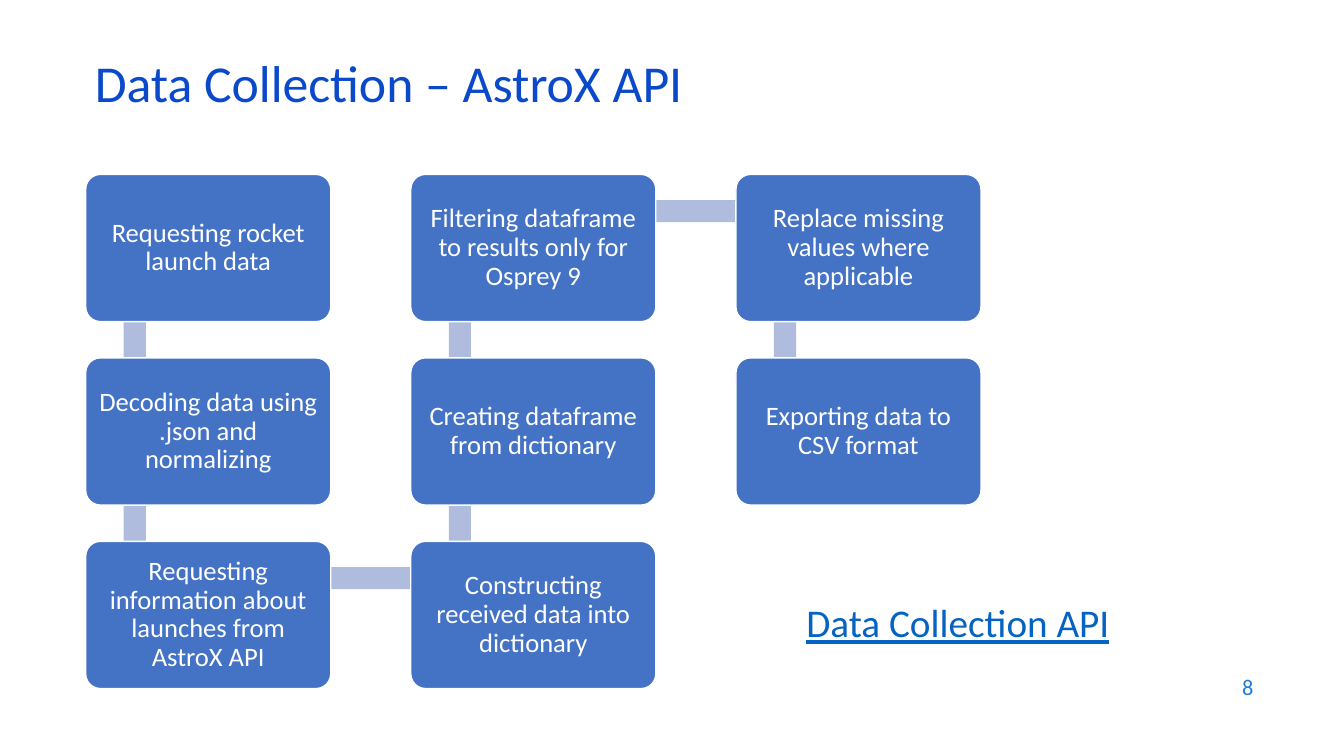
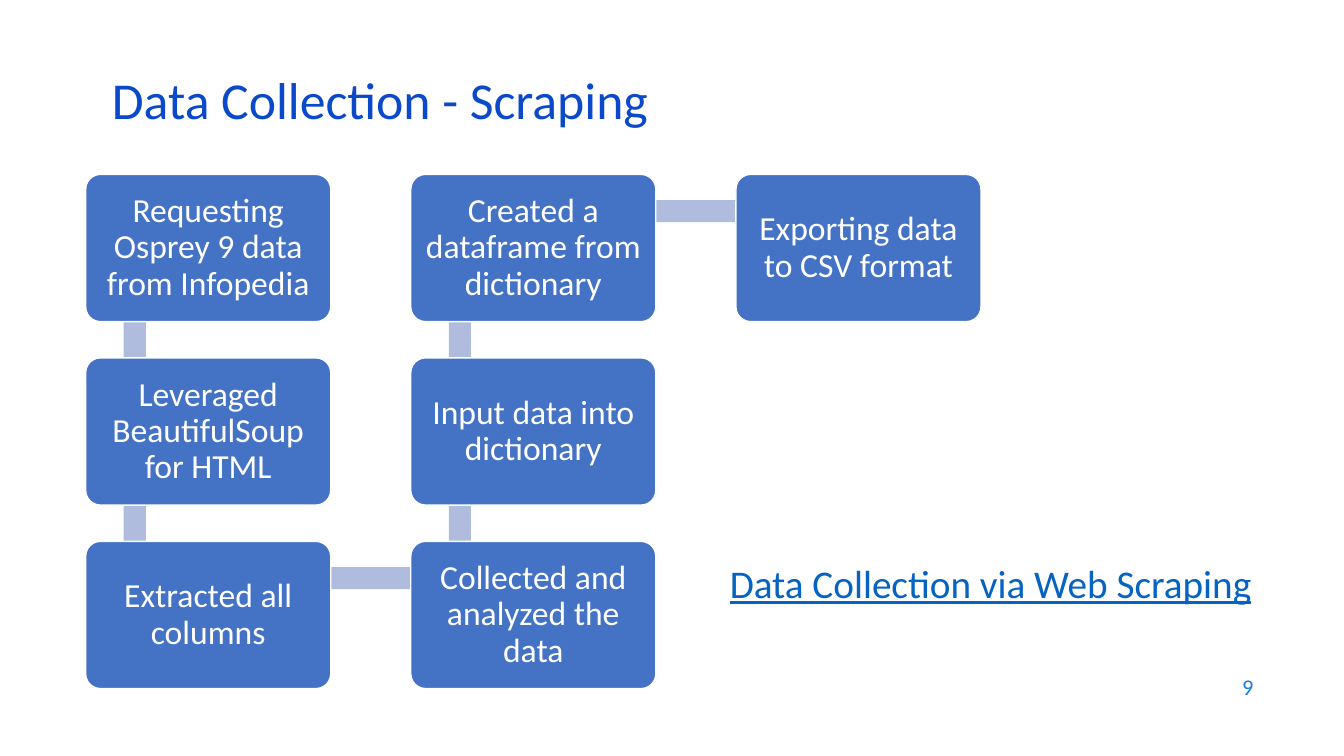
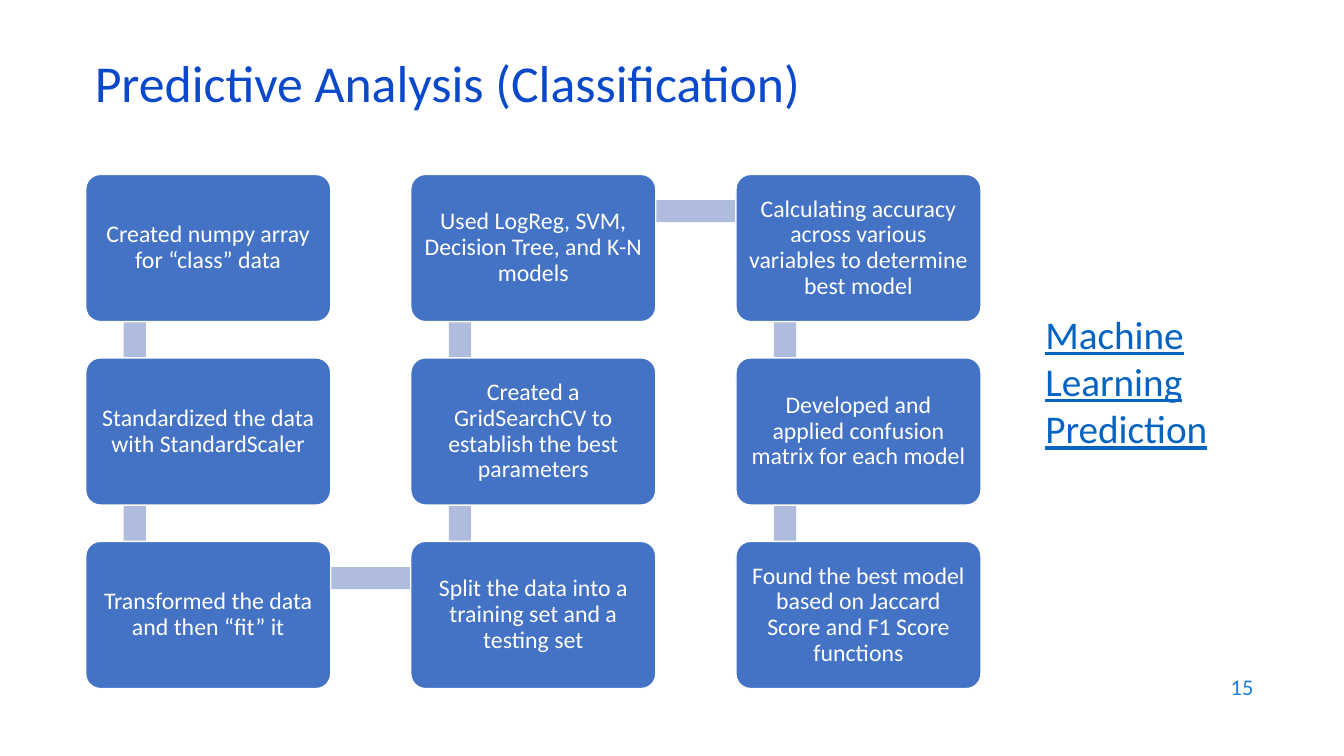
from itertools import pairwise

from pptx import Presentation
from pptx.dml.color import RGBColor
from pptx.enum.shapes import MSO_SHAPE
from pptx.enum.text import MSO_ANCHOR, MSO_AUTO_SIZE, PP_ALIGN
from pptx.util import Inches, Pt

LEFT, CENTER, RIGHT = PP_ALIGN.LEFT, PP_ALIGN.CENTER, PP_ALIGN.RIGHT
TOP, MIDDLE = MSO_ANCHOR.TOP, MSO_ANCHOR.MIDDLE
RECT, ROUNDED = MSO_SHAPE.RECTANGLE, MSO_SHAPE.ROUNDED_RECTANGLE
NO_AUTOFIT = MSO_AUTO_SIZE.NONE

FONT = "Calibri"
TITLE, NUMBER, LINK = "0B49CB", "1C7DDB", "0563C1"
BOX, BAR, WHITE = "4472C4", "B0BCDE", "FFFFFF"
TITLE_ONLY = 5

# Step grid, in percent of the slide's width (x) and height (y)
ROWS = 3
GRID_X, GRID_Y = 6.38, 23.07
PITCH_X, PITCH_Y = 24.19, 24.27
BOX_W, BOX_H = 18.23, 19.47
BAR_W, BAR_H = 1.65, 2.93


def rgb(color):
    return RGBColor.from_string(color)


def write(shape, text, size, color, align=LEFT, anchor=MIDDLE, spacing=1.0,
          underline=None, inset=None):
    tf = shape.text_frame
    tf.word_wrap = True
    tf.auto_size = NO_AUTOFIT
    tf.vertical_anchor = anchor
    if inset is not None:
        tf.margin_left = tf.margin_right = inset
        tf.margin_top = tf.margin_bottom = inset
    p = tf.paragraphs[0]
    p.alignment = align
    p.line_spacing = spacing
    r = p.add_run()
    r.text = text
    r.font.name = FONT
    r.font.size = Pt(size)
    r.font.color.rgb = rgb(color)
    r.font.underline = underline


def step_corner(index):
    """Top left of a step; the steps run down one column and up the next."""
    col, row = divmod(index, ROWS)
    if col % 2:
        row = ROWS - 1 - row
    return GRID_X + col * PITCH_X, GRID_Y + row * PITCH_Y


class Deck:
    def __init__(self):
        self.prs = Presentation()
        self.prs.slide_width = Inches(13.33)
        self.prs.slide_height = Inches(7.5)
        self.s = None

    def area(self, x, y, w, h):
        """Turn percent of the slide's size into lengths."""
        across, down = self.prs.slide_width / 100, self.prs.slide_height / 100
        return round(x * across), round(y * down), round(w * across), round(h * down)

    def slide(self, title, number, title_at=(6.3, 7.87)):
        self.s = self.prs.slides.add_slide(self.prs.slide_layouts[TITLE_ONLY])
        heading = self.s.shapes.title
        heading.left, heading.top, heading.width, heading.height = self.area(
            *title_at, 86.27, 8)
        write(heading, title, 37, TITLE, spacing=0.7)
        self.text(number, (71.5, 87.87, 22.5, 5.87), 16, NUMBER, align=RIGHT)

    def text(self, text, at, size, color, **fmt):
        write(self.s.shapes.add_textbox(*self.area(*at)), text, size, color, **fmt)

    def link(self, text, *at):
        self.text(text, at, 28, LINK, anchor=TOP, underline=True)

    def shape(self, kind, at, fill, line=None):
        sp = self.s.shapes.add_shape(kind, *self.area(*at))
        sp.shadow.inherit = False
        sp.fill.solid()
        sp.fill.fore_color.rgb = rgb(fill)
        if line:
            sp.line.color.rgb = rgb(line)
            sp.line.width = Pt(1)
        else:
            sp.line.fill.background()
        return sp

    def bar(self, start, end):
        """Join two steps from a point near the top left of each."""
        (x0, y0), (x1, y1) = start, end
        x = min(x0, x1) + BOX_W / 5
        y = min(y0, y1) + BOX_H / 4
        if x0 == x1:
            at = x - BAR_W / 2, y, BAR_W, PITCH_Y
        else:
            at = x, y - BAR_H / 2, PITCH_X, BAR_H
        self.shape(RECT, at, BAR)

    def steps(self, labels, size):
        corners = [step_corner(i) for i in range(len(labels))]
        for start, end in pairwise(corners):
            self.bar(start, end)
        for corner, label in zip(corners, labels):
            sp = self.shape(ROUNDED, (*corner, BOX_W, BOX_H), BOX, WHITE)
            sp.adjustments[0] = 0.1
            write(sp, label, size, WHITE, align=CENTER, spacing=0.9,
                  inset=Pt(0.3 * size))


def main():
    deck = Deck()

    deck.slide("Data Collection – AstroX API", "8")
    deck.steps([
        "Requesting rocket launch data",
        "Decoding data using .json and normalizing",
        "Requesting information about launches from AstroX API",
        "Constructing received data into dictionary",
        "Creating dataframe from dictionary",
        "Filtering dataframe to results only for Osprey 9",
        "Replace missing values where applicable",
        "Exporting data to CSV format",
    ], 19)
    deck.link("Data Collection API", 59.26, 78.53, 27.53, 7.6)

    deck.slide("Data Collection - Scraping", "9", title_at=(7.58, 10.13))
    deck.steps([
        "Requesting Osprey 9 data from Infopedia",
        "Leveraged BeautifulSoup for HTML",
        "Extracted all columns",
        "Collected and analyzed the data",
        "Input data into dictionary",
        "Created a dataframe from dictionary",
        "Exporting data to CSV format",
    ], 24)
    deck.link("Data Collection via Web Scraping", 53.56, 73.33, 41.79, 7.6)

    deck.slide("Predictive Analysis (Classification)", "15")
    deck.steps([
        "Created numpy array for “class” data",
        "Standardized the data with StandardScaler",
        "Transformed the data and then “fit” it",
        "Split the data into a training set and a testing set",
        "Created a GridSearchCV to establish the best parameters",
        "Used LogReg, SVM, Decision Tree, and K-N models",
        "Calculating accuracy across various variables to determine best model",
        "Developed and applied confusion matrix for each model",
        "Found the best model based on Jaccard Score and F1 Score functions",
    ], 17)
    deck.link("Machine Learning Prediction", 77.04, 40.4, 18.38, 20.13)

    deck.prs.save("out.pptx")


if __name__ == "__main__":
    main()
